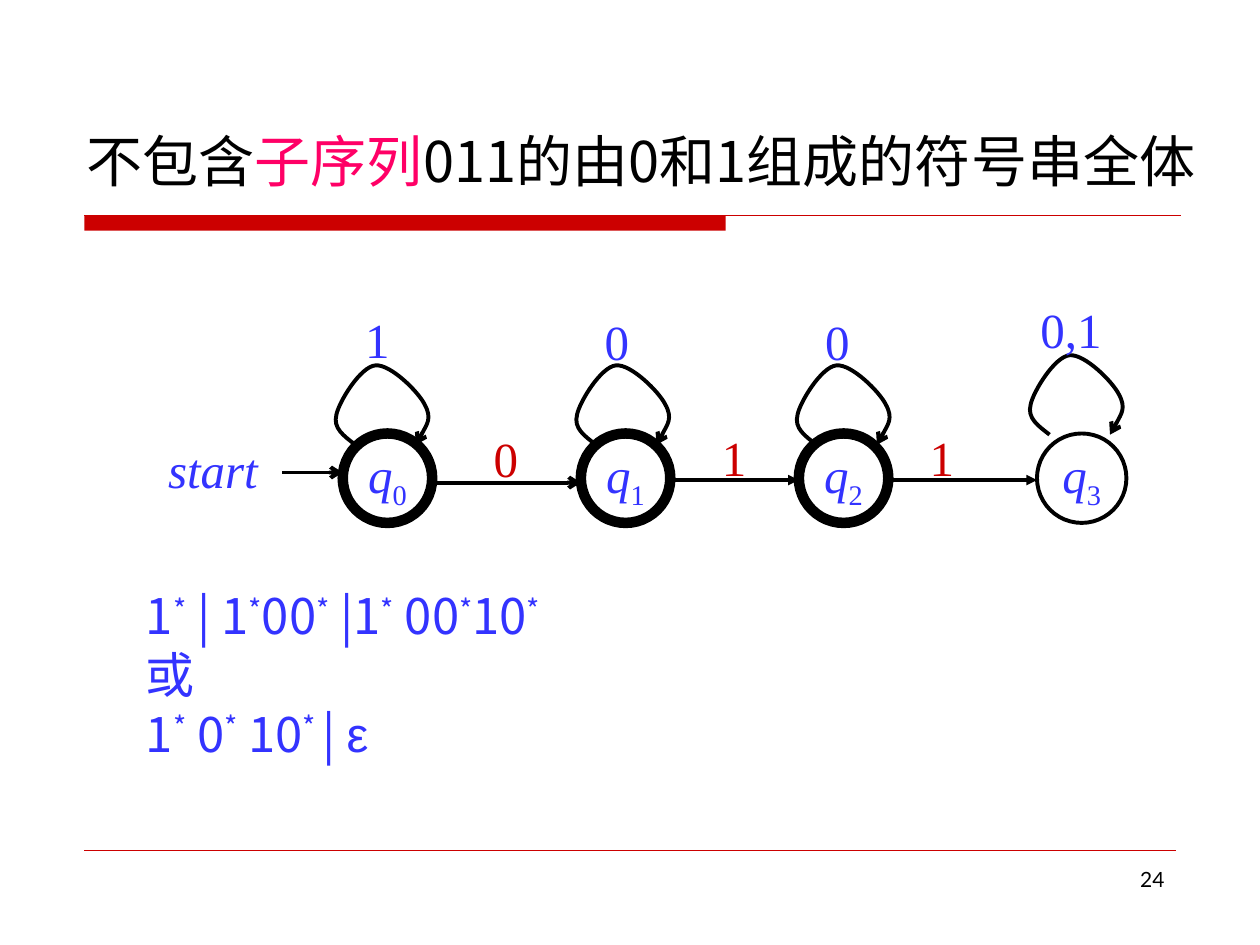
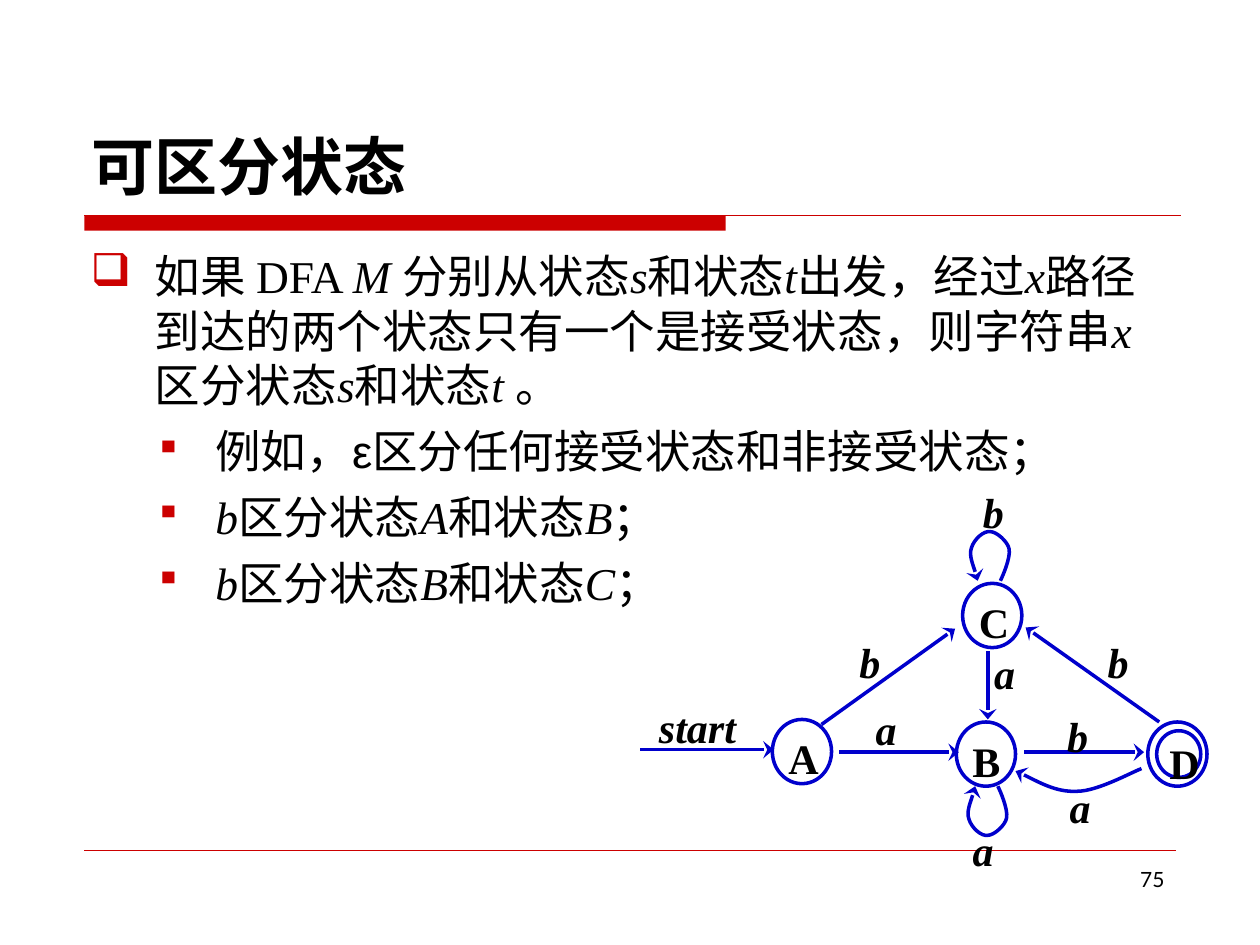
from lxml import etree
from pptx import Presentation
from pptx.dml.color import RGBColor
from pptx.enum import shapes, text
from pptx.oxml import ns
from pptx.util import Inches, Pt

BLACK = RGBColor(0x00, 0x00, 0x00)
RED = RGBColor(0xCC, 0x00, 0x00)
PINK = RGBColor(0xFF, 0x00, 0x66)
BLUE = RGBColor(0x33, 0x33, 0xFF)
NAVY = RGBColor(0x00, 0x00, 0xCC)
SERIF, SANS, LATO, GREEK = "Times New Roman", "Noto Sans CJK SC", "Lato", "Arial"
LEFT, RIGHT = text.PP_ALIGN.LEFT, text.PP_ALIGN.RIGHT
CENTER = text.PP_ALIGN.CENTER
TOP, MIDDLE, BOTTOM = text.MSO_ANCHOR.TOP, text.MSO_ANCHOR.MIDDLE, text.MSO_ANCHOR.BOTTOM

ITALIC = {"italic": True}
SUPER = {"baseline": 30}
SUB = {"baseline": -25}
EPSILON = {"font": GREEK}
WIDE = (0.1, 0.05, 0.1, 0.05)
NARROW = (0.06, 0.03, 0.06, 0.03)
HEAD_WIDTHS = {"arrow": "med", "triangle": "med", "stealth": "lg"}

SEQUENCE_TITLE = [("不包含", {}), ("子序列", {"color": PINK}), ("011的由0和1组成的符号串全体", {})]
STAR = ("*", SUPER)
EXPRESSIONS = [
    [("1", {}), STAR, (" | 1", {}), STAR, ("00", {}), STAR, (" |1", {}), STAR,
     (" 00", {}), STAR, ("10", {}), STAR],
    [("或", {})],
    [("1", {}), STAR, (" 0", {}), STAR, (" 10", {}), ("* ", SUPER), ("| ", {}), ("ε", EPSILON)],
]
STATE_SIZE, STATE_TOP = 0.71, 3.44
STATES = [(2.72, 6), (4.61, 6), (6.34, 6), (8.23, 2.25)]
MOVES = [
    (2.24, 2.72, 3.75, 2.25, "arrow"),
    (3.43, 4.61, 3.83, 2.25, "arrow"),
    (5.31, 6.34, 3.81, 2, "triangle"),
    (7.05, 8.23, 3.81, 2, "triangle"),
]
SEQUENCE_LABELS = [
    ("start", 1.06, 3.44, 1.26, BLUE, ITALIC),
    ("0", 3.82, 3.35, 0.39, RED, {}),
    ("1", 5.63, 3.34, 0.39, RED, {}),
    ("1", 7.28, 3.34, 0.39, RED, {}),
    ("1", 2.8, 2.41, 0.39, BLUE, {}),
    ("0", 4.7, 2.42, 0.39, BLUE, {}),
    ("0", 6.45, 2.42, 0.39, BLUE, {}),
    ("0,1", 8.07, 2.33, 0.86, BLUE, {}),
]
STATE_LOOP = [(2.82, 3.53), (2.73, 3.46), (2.64, 3.4), (2.67, 3.29), (2.69, 3.19), (2.86, 2.91),
              (2.98, 2.9), (3.1, 2.89), (3.32, 3.11), (3.37, 3.21), (3.43, 3.32), (3.36, 3.42),
              (3.3, 3.53)]
LOOP_SHIFTS = [(0, 0), (1.91, 0), (3.66, 0), (5.51, -0.08)]

DISTINCTION = [
    (0, [("如果 DFA ", {}), ("M ", ITALIC), ("分别从状态", {}), ("s", ITALIC), ("和状态", {}),
         ("t", ITALIC), ("出发，经过", {}), ("x", ITALIC),
         ("路径到达的两个状态只有一个是接受状态，则字符串", {}), ("x", ITALIC), ("区分状态", {}),
         ("s", ITALIC), ("和状态", {}), ("t ", ITALIC), ("。", {})]),
    (1, [("例如，", {}), ("ε", EPSILON), ("区分任何接受状态和非接受状态；", {})]),
] + [
    (1, [("b", ITALIC), ("区分状态", {}), (first, ITALIC), ("和状态", {}), (second, ITALIC), ("；", {})])
    for first, second in ("AB", "BC")
]
BULLETS = [("❑", 0.51, 0.51, 100), ("▪", 0.99, 0.48, 80)]
NODES = [("A", 6.13, 5.71), ("B", 7.59, 5.73), ("C", 7.64, 4.63), ("", 9.11, 5.73)]
EDGES = [
    (5.08, 5.95, 6.14, 5.95),
    (6.66, 5.97, 7.61, 5.97),
    (8.13, 5.97, 9.08, 5.97),
    (6.52, 5.75, 7.58, 4.99),
    (7.84, 5.17, 7.84, 5.71),
    (9.2, 5.73, 8.14, 4.98),
]
EDGE_LABELS = [
    ("start", 5.17, 5.54), ("a", 6.89, 5.55), ("a", 7.66, 6.51), ("b", 8.41, 5.61),
    ("b", 6.76, 5.02), ("a", 8.43, 6.17), ("b", 7.74, 3.83), ("b", 8.73, 5.02), ("a", 7.83, 5.11),
]
C_LOOP = [(7.94, 4.61), (7.96, 4.57), (8.02, 4.43), (8.01, 4.36), (8, 4.3), (7.91, 4.22),
          (7.86, 4.22), (7.81, 4.21), (7.73, 4.28), (7.71, 4.35), (7.69, 4.41), (7.75, 4.56),
          (7.76, 4.61)]
B_LOOP = [(x - 0.02, 10.85 - y) for x, y in C_LOOP]
RETURN_CURVE = [(9.06, 6.1), (8.98, 6.13), (8.71, 6.28), (8.55, 6.28), (8.38, 6.29), (8.16, 6.16),
                (8.06, 6.12)]


def write_runs(paragraph, pieces, font, size, color, bold=False):
    for words, style in pieces:
        run = paragraph.add_run()
        run.text = words
        run.font.name = style.get("font", font)
        run.font.size = Pt(size)
        run.font.color.rgb = style.get("color", color)
        run.font.bold = bold
        run.font.italic = style.get("italic", False)
        properties = run.font._element
        if "baseline" in style:
            properties.set("baseline", str(style["baseline"] * 1000))
        etree.SubElement(properties, ns.qn("a:ea")).set("typeface", SANS)


def prepare_frame(shape, insets, anchor, wrap=True):
    frame = shape.text_frame
    frame.word_wrap = wrap
    frame.vertical_anchor = anchor
    frame.margin_left, frame.margin_top, frame.margin_right, frame.margin_bottom = map(Inches, insets)
    return frame


def add_text(slide, box, paragraphs, font, size, color=BLACK, bold=False, align=LEFT,
             anchor=TOP, insets=WIDE):
    shape = slide.shapes.add_textbox(*map(Inches, box))
    frame = prepare_frame(shape, insets, anchor)
    for index, pieces in enumerate(paragraphs):
        paragraph = frame.paragraphs[0] if index == 0 else frame.add_paragraph()
        paragraph.alignment = align
        write_runs(paragraph, pieces, font, size, color, bold)


def style_line(shape, color, width, head=None):
    shape.line.color.rgb = color
    shape.line.width = Pt(width)
    if head:
        tail = etree.SubElement(shape.line._get_or_add_ln(), ns.qn("a:tailEnd"))
        tail.set("type", head)
        tail.set("w", HEAD_WIDTHS[head])


def add_line(slide, ends, color, width, head=None):
    line = slide.shapes.add_connector(shapes.MSO_CONNECTOR.STRAIGHT, *map(Inches, ends))
    style_line(line, color, width, head)
    etree.SubElement(line._element.spPr, ns.qn("a:effectLst"))


def add_curve(slide, points, color, width, head):
    start, *controls = [(Inches(x), Inches(y)) for x, y in points]
    builder = slide.shapes.build_freeform(*start)
    builder.add_line_segments(controls, close=False)
    curve = builder.convert_to_shape()
    outline = curve._element.find(".//" + ns.qn("a:path"))
    corners = outline.findall(ns.qn("a:lnTo"))
    for first in range(0, len(corners), 3):
        bezier = etree.SubElement(outline, ns.qn("a:cubicBezTo"))
        for corner in corners[first:first + 3]:
            bezier.append(corner[0])
            outline.remove(corner)
    curve.fill.background()
    curve.shadow.inherit = False
    style_line(curve, color, width, head)


def add_ellipse(slide, box, color, width):
    ellipse = slide.shapes.add_shape(shapes.MSO_SHAPE.OVAL, *map(Inches, box))
    ellipse.fill.background()
    ellipse.shadow.inherit = False
    style_line(ellipse, color, width)
    return ellipse


def add_base(presentation, number):
    slide = presentation.slides.add_slide(presentation.slide_layouts[6])
    band = slide.shapes.add_shape(shapes.MSO_SHAPE.RECTANGLE, *map(Inches, (0.67, 1.71, 5.09, 0.12)))
    band.fill.solid()
    band.fill.fore_color.rgb = RED
    band.line.fill.background()
    band.shadow.inherit = False
    add_line(slide, (0.67, 1.71, 9.37, 1.71), RED, 1)
    add_line(slide, (0.67, 6.75, 9.33, 6.75), RED, 0.25)
    add_text(slide, (7.17, 6.83, 2.17, 0.52), [[(number, {})]], LATO, 12, align=RIGHT)
    return slide


def build_sequence_slide(presentation):
    slide = add_base(presentation, "24")
    add_text(slide, (0.59, 0.33, 9.02, 1.26), [SEQUENCE_TITLE], SANS, 32, anchor=BOTTOM)
    for index, (left, width) in enumerate(STATES):
        state = add_ellipse(slide, (left, STATE_TOP, STATE_SIZE, STATE_SIZE), BLACK, width)
        paragraph = prepare_frame(state, WIDE, MIDDLE, wrap=False).paragraphs[0]
        paragraph.alignment = CENTER
        write_runs(paragraph, [("q", ITALIC), (str(index), SUB)], SERIF, 28, BLUE)
    for start, end, y, width, head in MOVES:
        add_line(slide, (start, y, end, y), BLACK, width, head)
    for dx, dy in LOOP_SHIFTS:
        add_curve(slide, [(x + dx, y + dy) for x, y in STATE_LOOP], BLACK, 2.25, "arrow")
    for label, left, top, width, color, style in SEQUENCE_LABELS:
        add_text(slide, (left, top, width, 0.57), [[(label, style)]], SERIF, 28, color, align=CENTER)
    add_text(slide, (1.06, 4.6, 4.55, 1.97), EXPRESSIONS, SANS, 28, BLUE)


def add_distinction(slide):
    shape = slide.shapes.add_textbox(*map(Inches, (0.62, 1.92, 8.75, 4.67)))
    frame = prepare_frame(shape, WIDE, TOP)
    for index, (level, pieces) in enumerate(DISTINCTION):
        paragraph = frame.add_paragraph() if index else frame.paragraphs[0]
        paragraph.level = level
        if index:
            paragraph.space_before = Pt(6.5)
        symbol, margin, hanging, percent = BULLETS[level]
        properties = paragraph._p.get_or_add_pPr()
        properties.set("marL", str(Inches(margin)))
        properties.set("indent", str(-Inches(hanging)))
        bullet_color = etree.SubElement(properties, ns.qn("a:buClr"))
        etree.SubElement(bullet_color, ns.qn("a:srgbClr")).set("val", str(RED))
        etree.SubElement(properties, ns.qn("a:buSzPct")).set("val", str(percent * 1000))
        etree.SubElement(properties, ns.qn("a:buChar")).set("char", symbol)
        write_runs(paragraph, pieces, SERIF, 26, BLACK)


def build_states_slide(presentation):
    slide = add_base(presentation, "75")
    add_text(slide, (0.63, 0.33, 8.75, 1.33), [[("可区分状态", {})]], LATO, 36, bold=True, anchor=BOTTOM)
    add_distinction(slide)
    nodes = [(name, add_ellipse(slide, (left, top, 0.47, 0.51), NAVY, 2), (0.06, 0.03, 0.02, 0.05))
             for name, left, top in NODES]
    nodes.append(("D", add_ellipse(slide, (9.18, 5.8, 0.35, 0.37), NAVY, 2), (0.05, 0, 0.01, 0)))
    for name, node, insets in nodes:
        if name:
            paragraph = prepare_frame(node, insets, TOP).paragraphs[0]
            paragraph.alignment = LEFT
            write_runs(paragraph, [(name, {})], SERIF, 24, BLACK, True)
    for ends in EDGES:
        add_line(slide, ends, NAVY, 2, "stealth")
    for points in (C_LOOP, B_LOOP, RETURN_CURVE):
        add_curve(slide, points, NAVY, 2, "stealth")
    for label, left, top in EDGE_LABELS:
        width = 0.82 if label == "start" else 0.39
        add_text(slide, (left, top, width, 0.41), [[(label, ITALIC)]], SERIF, 24, bold=True, insets=NARROW)


def main():
    presentation = Presentation()
    presentation.slide_width, presentation.slide_height = Inches(10), Inches(7.5)
    build_sequence_slide(presentation)
    build_states_slide(presentation)
    presentation.save("out.pptx")


if __name__ == "__main__":
    main()
